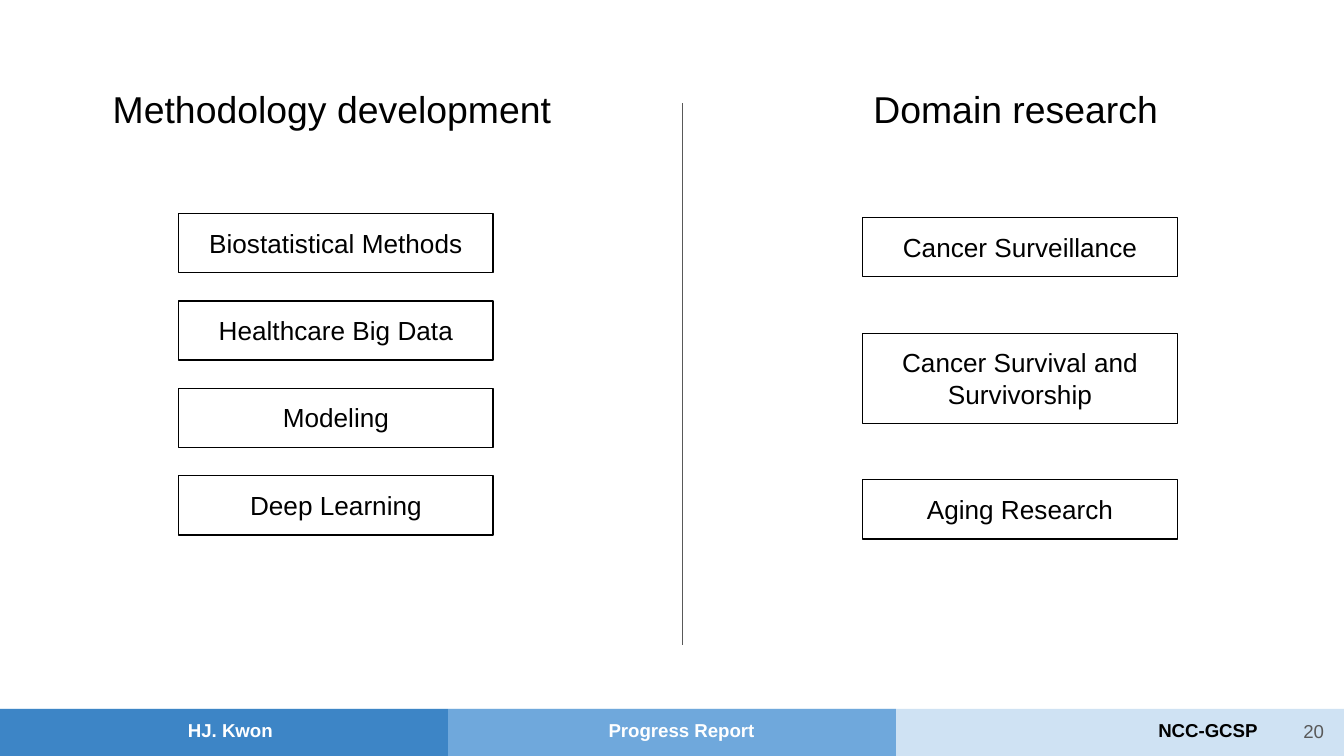
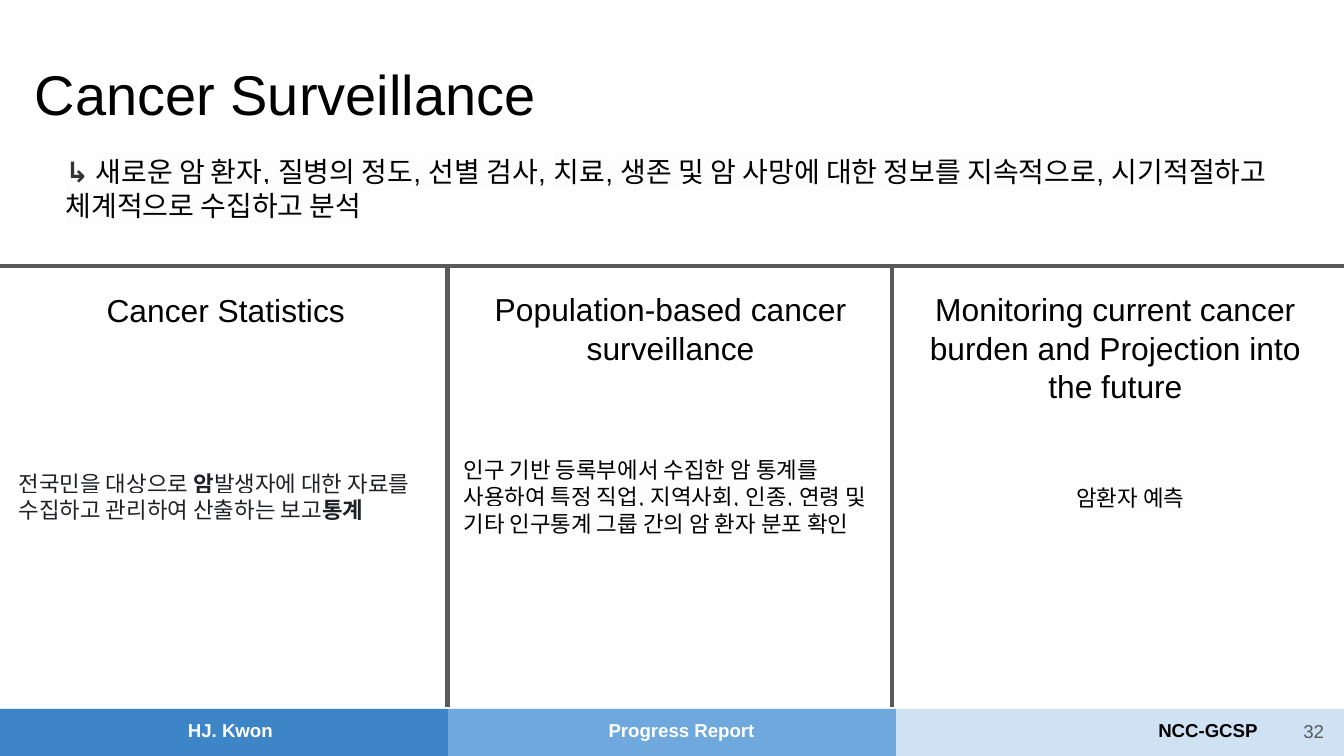
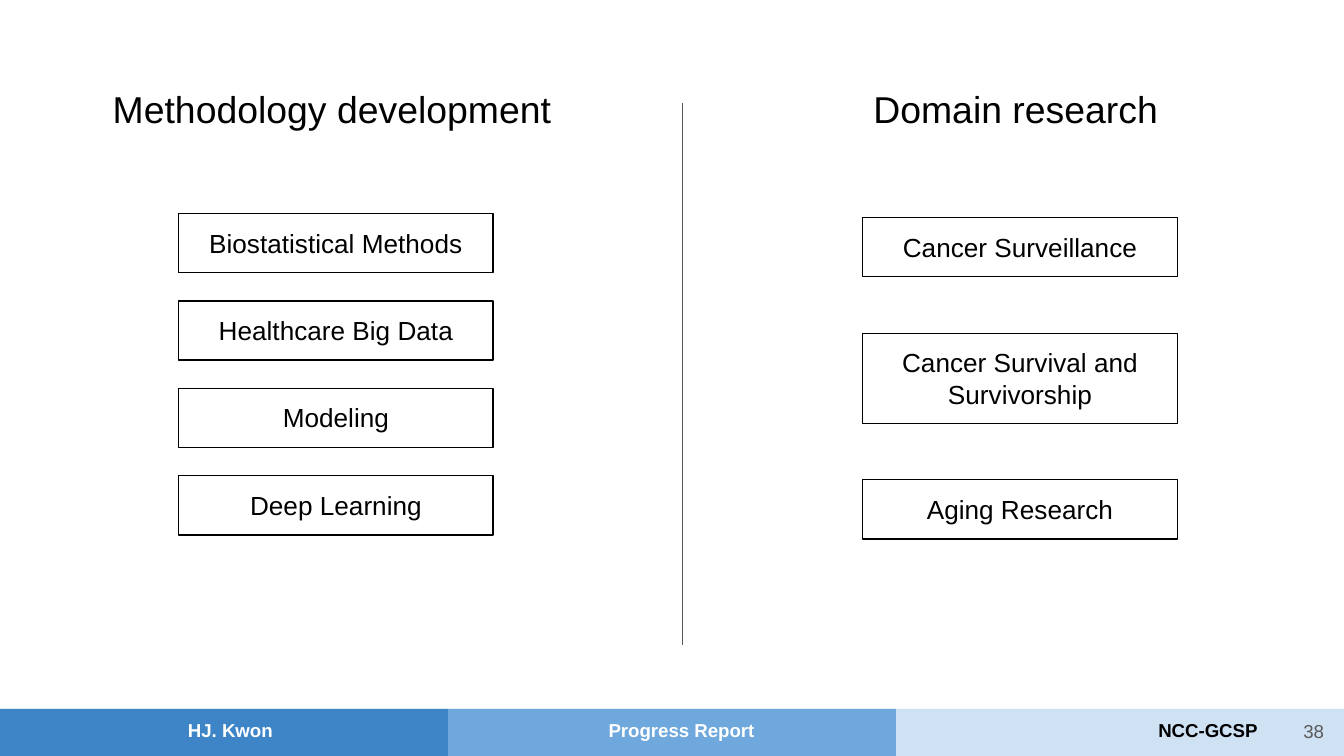
from pptx import Presentation
from pptx.dml.color import RGBColor
from pptx.enum.shapes import MSO_CONNECTOR, MSO_SHAPE
from pptx.enum.text import MSO_ANCHOR, MSO_AUTO_SIZE, PP_ALIGN
from pptx.oxml.ns import qn
from pptx.util import Inches, Pt
from lxml import etree

BLACK = RGBColor(0x00, 0x00, 0x00)
WHITE = RGBColor(0xFF, 0xFF, 0xFF)
GRAY = RGBColor(0x59, 0x59, 0x59)
ARROW_GRAY = RGBColor(0x33, 0x33, 0x33)
INK = RGBColor(0x20, 0x21, 0x24)
NEAR_WHITE = RGBColor(0xFD, 0xFD, 0xFD)
DARK_BLUE = RGBColor(0x3D, 0x85, 0xC6)
MID_BLUE = RGBColor(0x6F, 0xA8, 0xDC)
PALE_BLUE = RGBColor(0xCF, 0xE2, 0xF3)

FONT = "Arial"
INSET = Inches(0.1)
SLIDE_WIDTH = Inches(10)
SLIDE_HEIGHT = SLIDE_WIDTH * 9 // 16
BAND_HEIGHT = Inches(0.35)

TOPIC_WIDTH = Inches(2.34)
TOPIC_HEIGHT = Inches(0.44)
TALL_TOPIC_HEIGHT = Inches(0.67)

METHODS = [
    ("Biostatistical Methods", TOPIC_HEIGHT),
    ("Healthcare Big Data", TOPIC_HEIGHT),
    ("Modeling", TOPIC_HEIGHT),
    ("Deep Learning", TOPIC_HEIGHT),
]
DOMAINS = [
    ("Cancer Surveillance", TOPIC_HEIGHT),
    ("Cancer Survival and Survivorship", TALL_TOPIC_HEIGHT),
    ("Aging Research", TOPIC_HEIGHT),
]

# Each run: text, colour, bold, highlight
DEFINITION = [
    ("↳ ", ARROW_GRAY, True, WHITE),
    ("새로운 암 환자, 질병의 정도, 선별 검사, 치료, 생존 및 암 사망에 대한 정보를 "
     "지속적으로, 시기적절하고 체계적으로 수집하고 분석", BLACK, False, NEAR_WHITE),
]
STATISTICS = [
    ("전국민을 대상으로 ", INK, False, WHITE),
    ("암", INK, True, None),
    ("발생자에 대한 자료를 수집하고 관리하여 산출하는 보고", INK, False, WHITE),
    ("통계", INK, True, None),
]
POPULATION = [
    ("인구 기반 등록부에서 수집한 암 통계를 사용하여 특정 직업, 지역사회, 인종, 연령 및 "
     "기타 인구통계 그룹 간의 암 환자 분포 확인", BLACK, False, NEAR_WHITE),
]
PROJECTION = [("암환자 예측", BLACK, False, NEAR_WHITE)]

COLUMN_WIDTH = Inches(3.28)
# Each column: heading, heading height, detail runs, detail offset, width and height
SURVEILLANCE_COLUMNS = [
    ("Cancer Statistics", Inches(0.49),
     STATISTICS, 0, COLUMN_WIDTH, Inches(0.61)),
    ("Population-based cancer surveillance", Inches(0.77),
     POPULATION, 0, COLUMN_WIDTH, Inches(0.81)),
    ("Monitoring current cancer burden and Projection into the future", Inches(1.06),
     PROJECTION, Inches(1.25), Inches(1.22), Inches(0.4)),
]


def highlight(run, color):
    mark = etree.Element(qn("a:highlight"))
    etree.SubElement(mark, qn("a:srgbClr")).set("val", str(color))
    run.font._element.find(qn("a:solidFill")).addnext(mark)


def write(shape, runs, size, align=PP_ALIGN.LEFT, anchor=MSO_ANCHOR.TOP, grow=True):
    """Fill a shape with one paragraph of (text, colour, bold, highlight) runs."""
    frame = shape.text_frame
    frame.word_wrap = True
    frame.auto_size = MSO_AUTO_SIZE.SHAPE_TO_FIT_TEXT if grow else MSO_AUTO_SIZE.NONE
    frame.vertical_anchor = anchor
    frame.margin_left = frame.margin_right = INSET
    frame.margin_top = frame.margin_bottom = INSET
    paragraph = frame.paragraphs[0]
    paragraph.alignment = align
    for text, color, bold, mark in runs:
        run = paragraph.add_run()
        run.text = text
        run.font.name = FONT
        run.font.size = Pt(size)
        run.font.bold = bold
        run.font.color.rgb = color
        if mark is not None:
            highlight(run, mark)


def add_label(slide, box, text, size, color=BLACK, bold=False, **layout):
    write(slide.shapes.add_textbox(*box), [(text, color, bold, None)], size, **layout)


def add_rule(slide, x1, y1, x2, y2, width):
    rule = slide.shapes.add_connector(MSO_CONNECTOR.STRAIGHT, x1, y1, x2, y2)
    rule.line.color.rgb = GRAY
    rule.line.width = Pt(width)
    etree.SubElement(rule._element.spPr, qn("a:effectLst"))


def add_footer(slide, number):
    top = SLIDE_HEIGHT - BAND_HEIGHT
    third = SLIDE_WIDTH // 3
    for left, width, color in [
        (0, SLIDE_WIDTH, PALE_BLUE),
        (third, third, MID_BLUE),
        (0, third, DARK_BLUE),
    ]:
        band = slide.shapes.add_shape(MSO_SHAPE.RECTANGLE, left, top, width, BAND_HEIGHT)
        band.shadow.inherit = False
        band.fill.solid()
        band.fill.fore_color.rgb = color
        band.line.fill.background()
    for text, left, width, color in [
        ("HJ. Kwon", 1.3, 1.29, WHITE),
        ("Progress Report", 4.43, 1.29, WHITE),
        ("NCC-GCSP", 8.52, 1, BLACK),
    ]:
        box = (Inches(left), top - Inches(0.01), Inches(width), Inches(0.37))
        add_label(slide, box, text, 10, color, bold=True)
    number_box = (Inches(9.35), top - Inches(0.05), Inches(0.6), Inches(0.43))
    add_label(slide, number_box, str(number), 10, GRAY,
              align=PP_ALIGN.RIGHT, anchor=MSO_ANCHOR.MIDDLE, grow=False)


def add_topic_stack(slide, left, top, topics, gap):
    """Stack outlined topic boxes with equal gaps between them."""
    for text, height in topics:
        topic = slide.shapes.add_shape(MSO_SHAPE.RECTANGLE, left, top, TOPIC_WIDTH, height)
        topic.shadow.inherit = False
        topic.fill.background()
        topic.line.color.rgb = BLACK
        topic.line.width = Pt(0.75)
        write(topic, [(text, BLACK, False, None)], 14, align=PP_ALIGN.CENTER)
        top += height + gap


def add_surveillance_column(slide, left, top, column):
    heading, heading_height, detail, offset, width, height = column
    add_label(slide, (left, top, COLUMN_WIDTH, heading_height), heading, 17,
              align=PP_ALIGN.CENTER)
    detail_top = top + Inches(1.64) - height // 2
    detail_box = slide.shapes.add_textbox(left + offset, detail_top, width, height)
    write(detail_box, detail, 12)


def new_slide(deck, number):
    slide = deck.slides.add_slide(deck.slide_layouts[6])
    add_footer(slide, number)
    return slide


def build_overview(deck, number):
    slide = new_slide(deck, number)
    heading_top, heading_height = Inches(0.54), Inches(0.54)
    add_label(slide, (Inches(0.74), heading_top, Inches(3.59), heading_height),
              "Methodology development", 20)
    add_label(slide, (Inches(6.4), heading_top, Inches(2.34), heading_height),
              "Domain research", 20)
    add_rule(slide, Inches(5.08), Inches(0.77), Inches(5.08), Inches(4.8), 0.75)
    add_topic_stack(slide, Inches(1.33), Inches(1.59), METHODS, Inches(0.21))
    add_topic_stack(slide, Inches(6.42), Inches(1.62), DOMAINS, Inches(0.42))


def build_surveillance(deck, number):
    slide = new_slide(deck, number)
    add_label(slide, (Inches(0.16), Inches(0.34), Inches(4.42), Inches(0.71)),
              "Cancer Surveillance", 30)
    definition = slide.shapes.add_textbox(
        Inches(0.39), Inches(1.05), Inches(9.42), Inches(0.71))
    write(definition, DEFINITION, 15)

    rule_top = Inches(1.98)
    add_rule(slide, 0, rule_top, SLIDE_WIDTH, rule_top, 2.25)
    for index, column in enumerate(SURVEILLANCE_COLUMNS):
        left = Inches(0.04) + index * Inches(3.31)
        if index:
            divider = left - Inches(0.02)
            add_rule(slide, divider, rule_top, divider, Inches(5.26), 2.25)
        add_surveillance_column(slide, left, rule_top + Inches(0.08), column)


def main():
    deck = Presentation()
    deck.slide_width = SLIDE_WIDTH
    deck.slide_height = SLIDE_HEIGHT
    build_overview(deck, 20)
    build_surveillance(deck, 32)
    build_overview(deck, 38)
    deck.save("out.pptx")


if __name__ == "__main__":
    main()
